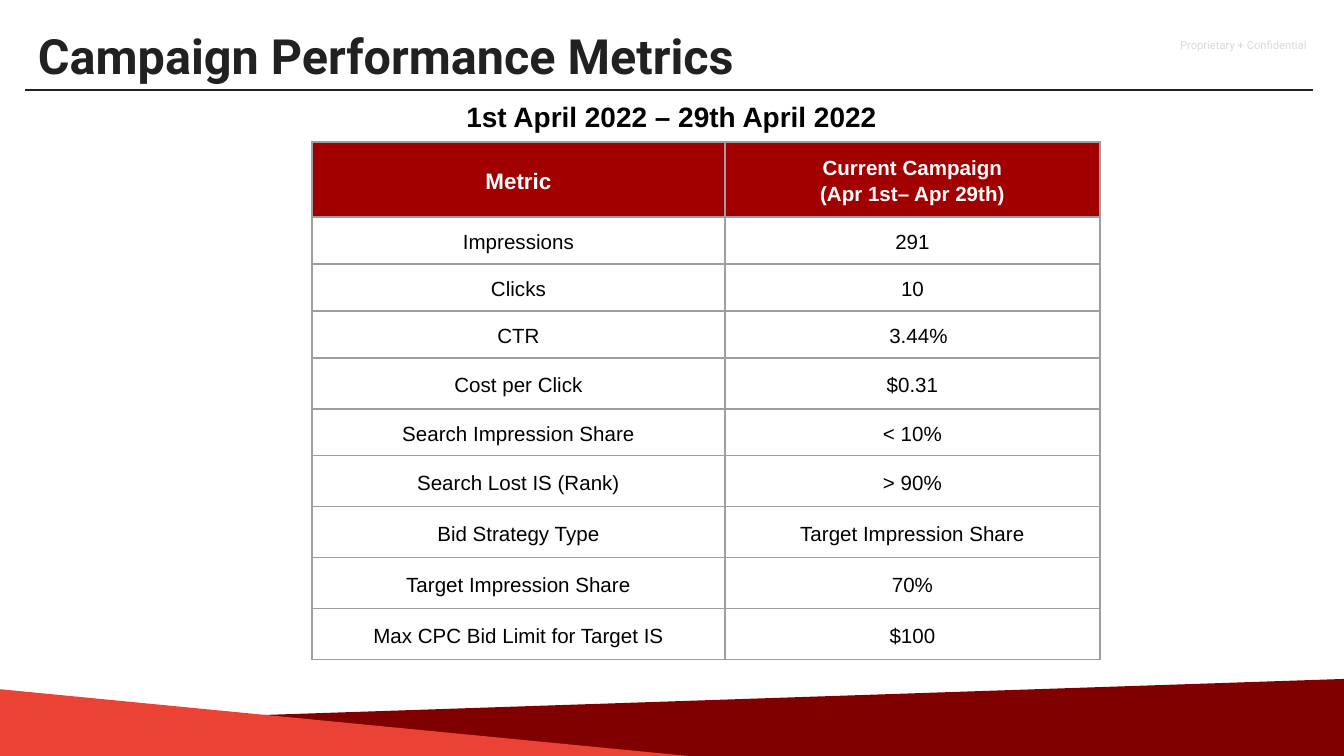
from lxml.etree import SubElement as Sub
from pptx import Presentation
from pptx.dml.color import RGBColor as Rgb
from pptx.enum.shapes import MSO_CONNECTOR as Conn
from pptx.enum.text import MSO_ANCHOR as Anchor, PP_ALIGN as Align
from pptx.oxml.ns import qn
from pptx.util import Pt

WHITE = Rgb(0xFF, 0xFF, 0xFF)
BLACK = Rgb(0, 0, 0)
INK = Rgb(0x21, 0x21, 0x21)
PALE = Rgb(0xD9, 0xD9, 0xD9)
GRID = Rgb(0x9E, 0x9E, 0x9E)
CRIMSON = Rgb(0xA2, 0, 0)
MAROON = Rgb(0x80, 0, 0)
RED = Rgb(0xEA, 0x43, 0x35)

WIDE, HIGH = 1344, 756


def px(n):
    return round(n * 914400 / 134.4)


class Page:
    """Style and the current slide."""
    title = dict(name="Roboto", size=Pt(26), bold=True, color=INK)
    tag = dict(name="Roboto", size=Pt(6), bold=False, color=PALE)
    date = dict(name="Arial", size=Pt(15), bold=True, color=BLACK)
    head = dict(name="Arial", size=Pt(12), bold=True, color=WHITE)
    side = dict(head, size=Pt(11))
    body = dict(side, bold=False, color=BLACK)

    def __init__(self, deck):
        self.slide = deck.slides.add_slide(deck.slide_layouts[6])
        self.shapes = self.slide.shapes

    def label(self, frame, text, style, align, space=1.0):
        frame.text = text
        for para in frame.paragraphs:
            para.alignment = align
            para.line_spacing = space
            for run in para.runs:
                for key, val in style.items():
                    if key == "color":
                        run.font.color.rgb = val
                    else:
                        setattr(run.font, key, val)

    def text(self, box, text, style, align=Align.LEFT, pad=13):
        frame = self.shapes.add_textbox(*map(px, box)).text_frame
        frame.word_wrap = True
        for side in ("left", "top", "right", "bottom"):
            setattr(frame, "margin_" + side, px(pad))
        self.label(frame, text, style, align)

    def wedge(self, points, color):
        first, *rest = [(px(x), px(y)) for x, y in points]
        pen = self.shapes.build_freeform(*first)
        pen.add_line_segments(rest, close=True)
        shape = pen.convert_to_shape()
        shape.shadow.inherit = False
        shape.fill.solid()
        shape.fill.fore_color.rgb = color
        shape.line.fill.background()

    def rule(self, left, right, y):
        line = self.shapes.add_connector(
            Conn.STRAIGHT, px(left), px(y), px(right), px(y))
        line.line.color.rgb = INK
        line.line.width = Pt(0.75)
        Sub(line._element.spPr, qn("a:effectLst"))

    def border(self, cell):
        props = cell._tc.get_or_add_tcPr()
        for tag in ("a:lnL", "a:lnR", "a:lnT", "a:lnB"):
            edge = Sub(props, qn(tag), w=str(int(Pt(0.75))))
            fill = Sub(edge, qn("a:solidFill"))
            Sub(fill, qn("a:srgbClr"), val=str(GRID))

    def cell(self, cell, text, style, fill=None, shift=0):
        self.border(cell)
        if fill is None:
            cell.fill.background()
        else:
            cell.fill.solid()
            cell.fill.fore_color.rgb = fill
        for side in ("left", "top", "right", "bottom"):
            setattr(cell, "margin_" + side, px(9))
        cell.margin_left = px(9 + shift)
        cell.vertical_anchor = Anchor.MIDDLE
        self.label(cell.text_frame, text, style, Align.CENTER, 1.15)

    def table(self, left, top, cols, rows, data):
        box = map(px, (left, top, sum(cols), sum(rows)))
        grid = self.shapes.add_table(len(rows), len(cols), *box).table
        grid.first_row = grid.horz_banding = False
        for col, size in zip(grid.columns, cols):
            col.width = px(size)
        for row, size in zip(grid.rows, rows):
            row.height = px(size)
        for c, style in enumerate((self.head, self.side)):
            self.cell(grid.cell(0, c), data[0][c], style, CRIMSON)
        for r, pair in enumerate(data[1:], 1):
            for c, text in enumerate(pair):
                # This one value sits a little right of centre
                shift = 12 if text == "3.44%" else 0
                self.cell(grid.cell(r, c), text, self.body, shift=shift)


METRICS = [
    ("Metric", "Current Campaign\n(Apr 1st– Apr 29th)"),
    ("Impressions", "291"),
    ("Clicks", "10"),
    ("CTR", "3.44%"),
    ("Cost per Click", "$0.31"),
    ("Search Impression Share", "< 10%"),
    ("Search Lost IS (Rank)", "> 90%"),
    ("Bid Strategy Type", "Target Impression Share"),
    ("Target Impression Share", "70%"),
    ("Max CPC Bid Limit for Target IS", "$100"),
]


def main():
    deck = Presentation()
    deck.slide_width, deck.slide_height = px(WIDE), px(HIGH)
    page = Page(deck)

    # Footer wedges
    page.wedge([(1348, 759), (1345, 679), (-3, 724), (-1, 755)], MAROON)
    page.wedge([(698, 757), (-3, 689), (-3, 758)], RED)

    # Heading
    page.text((1167, 32, 177, 44), "Proprietary + Confidential", page.tag)
    page.text((25, 13, 972, 111), "Campaign Performance Metrics", page.title)
    page.rule(25, 1313, 90)
    page.text((25, 93, 1293, 47), "1st April 2022 – 29th April 2022",
              page.date, Align.CENTER, 7)

    # Metrics table
    low, tall = 47, 51
    rows = [75, low, low, low, tall, low, tall, tall, tall, tall]
    page.table(312, 142, [413, 375], rows, METRICS)

    deck.save("out.pptx")


if __name__ == "__main__":
    main()
